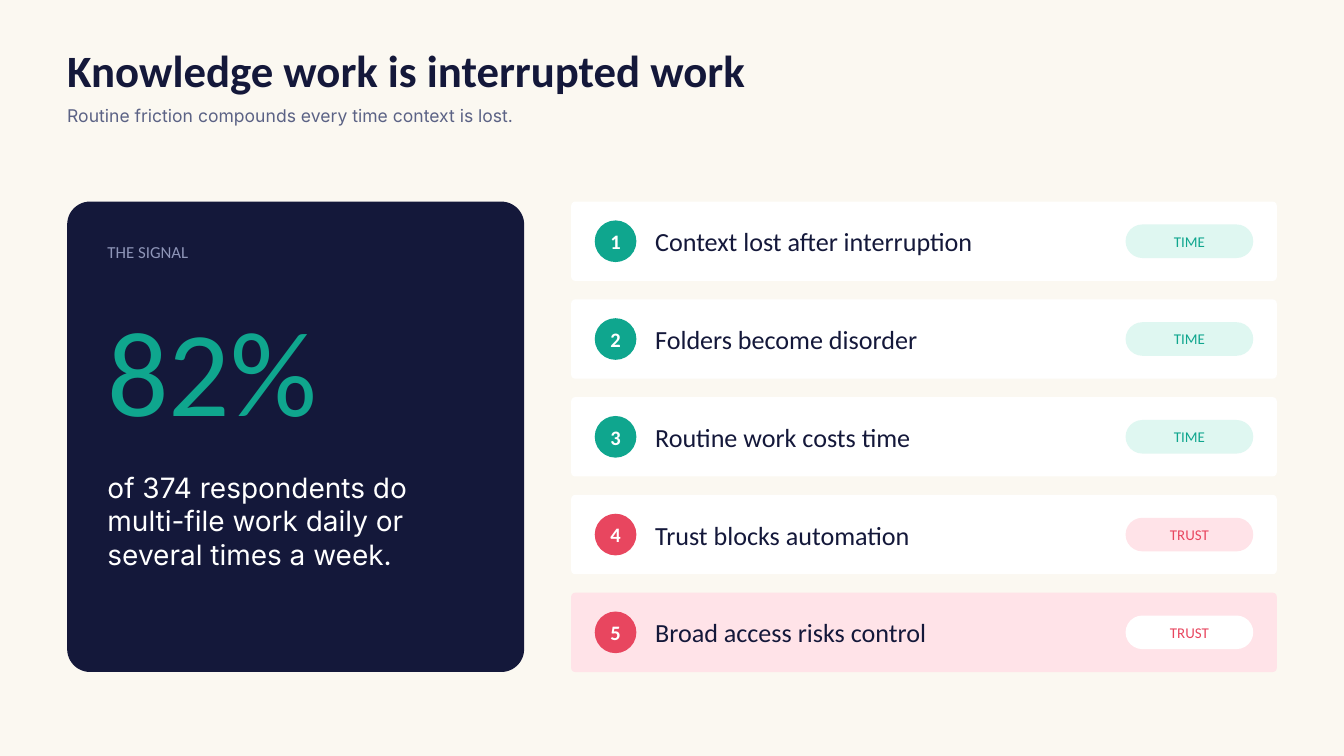
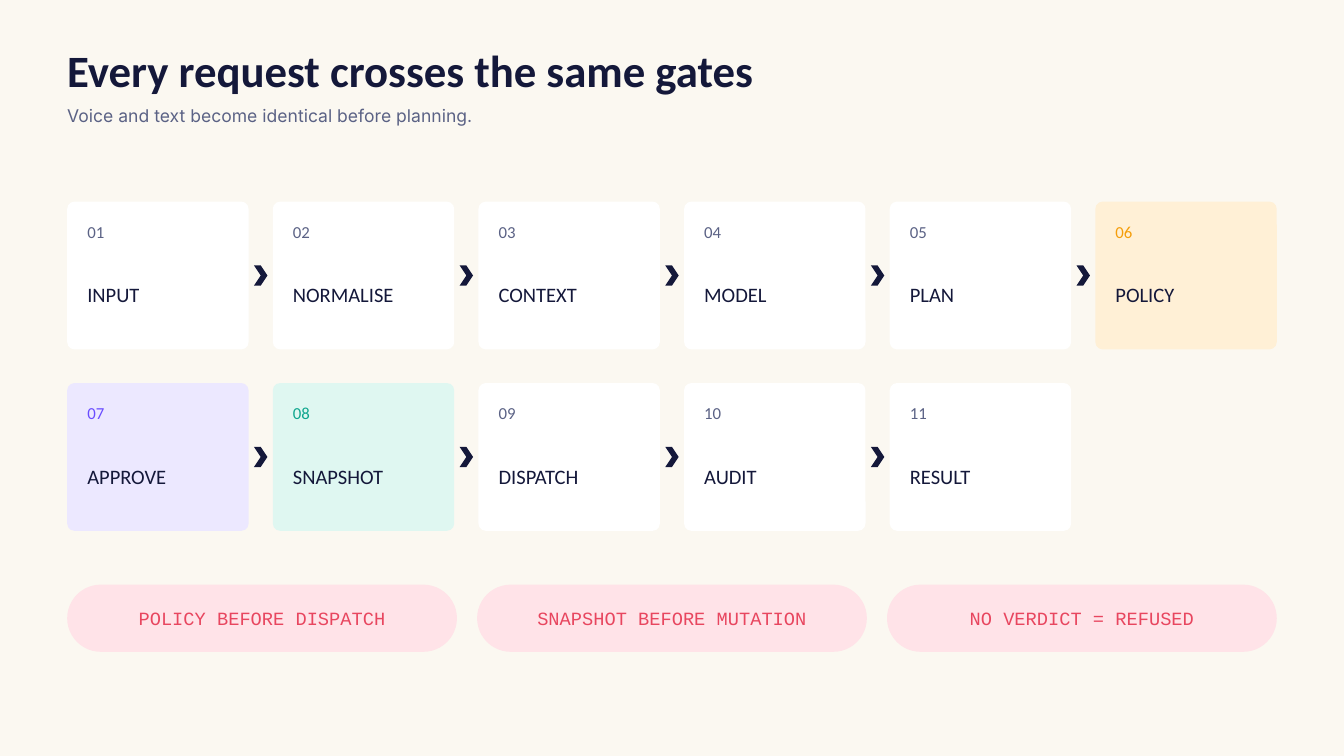
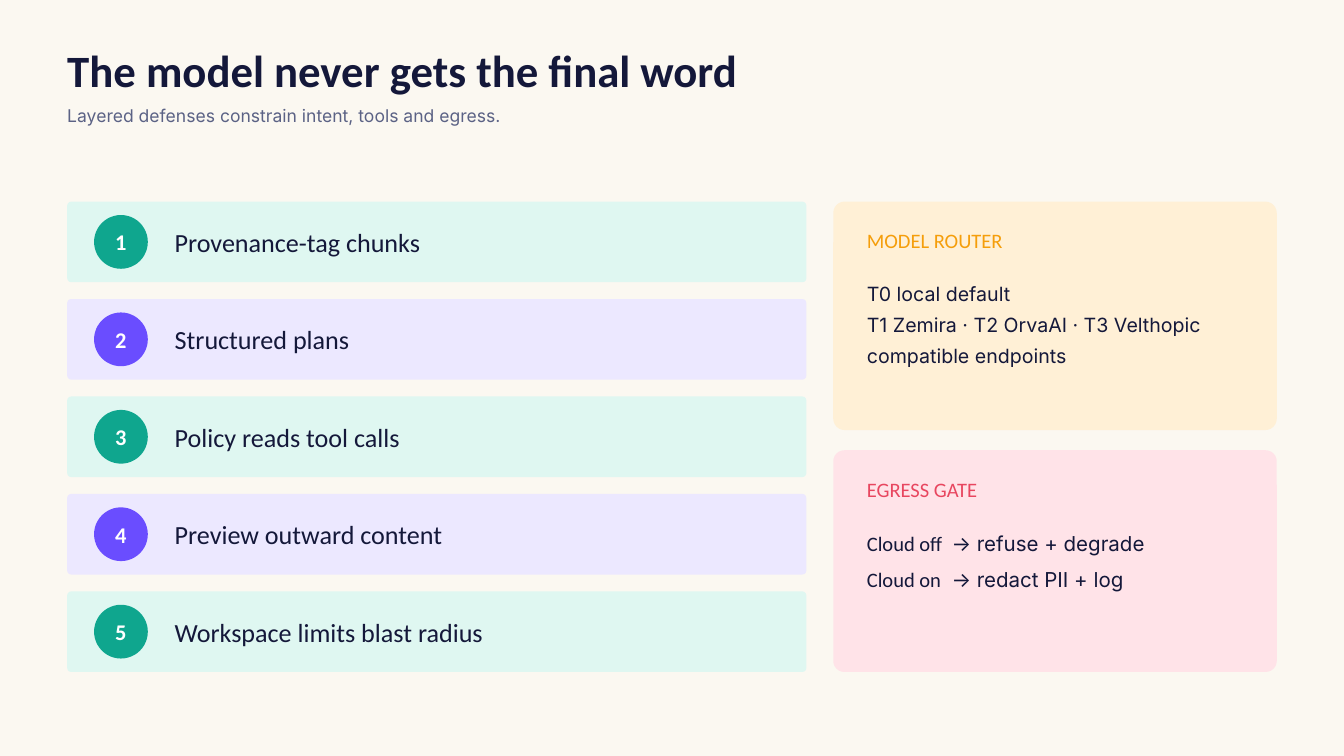
from lxml import etree
from pptx import Presentation
from pptx.dml.color import RGBColor
from pptx.enum.shapes import MSO_SHAPE
from pptx.enum.text import MSO_ANCHOR, MSO_AUTO_SIZE, PP_ALIGN
from pptx.oxml.ns import qn
from pptx.util import Cm, Pt

ROUNDED, OVAL, CHEVRON = MSO_SHAPE.ROUNDED_RECTANGLE, MSO_SHAPE.OVAL, MSO_SHAPE.CHEVRON
LEFT, CENTER = PP_ALIGN.LEFT, PP_ALIGN.CENTER
TOP, MIDDLE = MSO_ANCHOR.TOP, MSO_ANCHOR.MIDDLE
GROW = MSO_AUTO_SIZE.SHAPE_TO_FIT_TEXT

HEADING, BODY, CODE = "Calibri", "Inter", "Courier New"
CREAM, WHITE, NAVY = "FBF8F1", "FFFFFF", "14183A"
SLATE, MIST = "5B6285", "8E95B8"
GREEN, MINT = "0FA68E", "DFF7F1"
RED, ROSE = "E8465F", "FFE3E8"
VIOLET, LILAC = "6A4DFF", "ECE8FF"
AMBER, SAND = "F59E0B", "FFF0D6"

MARGIN, CONTENT_TOP, CONTENT_BOTTOM = 1, 3, 10


def grid(units):
    """Length of a number of layout grid units, each 2.54 cm."""
    return Cm(units * 2.54)


def color(value):
    return RGBColor.from_string(value)


def style(span, size, ink, font, bold=False):
    span.font.size = Pt(size)
    span.font.name = font
    span.font.bold = bold
    span.font.color.rgb = color(ink)


class Deck:
    """Holds the shared style and the current page; places are in grid units."""

    def __init__(self):
        self.file = Presentation()
        self.file.slide_width, self.file.slide_height = grid(20), grid(11.25)
        background = self.file.slide_master.background.fill
        background.solid()
        background.fore_color.rgb = color(CREAM)
        self.page = None

    def new_page(self, title, subtitle):
        self.page = self.file.slides.add_slide(self.file.slide_layouts[6])
        self.text(title, MARGIN, 0.73, 15.62, 0.82, 48, NAVY, bold=True, line=50.4)
        self.text(subtitle, MARGIN, 1.53, 15.62, 0.34, 18.8, SLATE, BODY, line=25.3)

    def fill_text(self, box, words, size, ink, font=HEADING, bold=False,
                  align=LEFT, anchor=TOP, line=None, after=None):
        frame = box.text_frame
        frame.margin_left = frame.margin_right = 0
        frame.margin_top = frame.margin_bottom = 0
        frame.word_wrap = True
        frame.vertical_anchor = anchor
        frame.text = words
        for para in frame.paragraphs:
            para.alignment = align
            if line:
                para.line_spacing = Pt(line)
            if after:
                para.space_after = Pt(after)
            for span in para.runs:
                style(span, size, ink, font, bold)

    def text(self, words, left, top, width, height, *args, **options):
        box = self.page.shapes.add_textbox(*map(grid, (left, top, width, height)))
        self.fill_text(box, words, *args, **options)
        box.text_frame.auto_size = GROW
        return box

    def shape(self, kind, left, top, width, height, fill):
        shape = self.page.shapes.add_shape(kind, *map(grid, (left, top, width, height)))
        shape.shadow.inherit = False
        shape.fill.solid()
        shape.fill.fore_color.rgb = color(fill)
        shape.line.fill.background()
        return shape

    def card(self, left, top, width, height, fill, rounding=0.05):
        card = self.shape(ROUNDED, left, top, width, height, fill)
        card.adjustments[0] = rounding

    def badge(self, number, left, middle, diameter, size, fill):
        circle = self.shape(OVAL, left, middle - diameter / 2, diameter, diameter, fill)
        self.fill_text(circle, str(number), size, WHITE, bold=True,
                       align=CENTER, anchor=MIDDLE)

    def pill(self, words, left, top, width, height, size, ink, fill, font=HEADING):
        self.card(left, top, width, height, fill, 0.5)
        self.text(words, left, top, width, height, size, ink, font,
                  align=CENTER, anchor=MIDDLE)

    def panel(self, heading, top, height, ink, fill, lines, size, font, after):
        left = 12.4
        self.card(left, top, 6.6, height, fill)
        self.text(heading, left + 0.5, top + 0.4, 5.6, 0.5, 22, ink)
        return self.text(lines, left + 0.5, top + 1.2, 5.6, 2, size, NAVY, font, after=after)


def row_tops(count, height):
    """Tops of equally spaced rows that fill the content area."""
    step = (CONTENT_BOTTOM - CONTENT_TOP - height) / (count - 1)
    return [CONTENT_TOP + index * step for index in range(count)]


def interruptions(deck):
    deck.new_page("Knowledge work is interrupted work",
                  "Routine friction compounds every time context is lost.")
    deck.card(MARGIN, CONTENT_TOP, 6.8, 7, NAVY)
    deck.text("THE SIGNAL", 1.6, 3.6, 5.6, 0.4, 18, MIST)
    deck.text("82%", 1.6, 4.4, 5.6, 2.2, 130, GREEN)
    deck.text("of 374 respondents do multi-file work daily or several times a week.",
              1.6, 7, 5.6, 2.6, 30, WHITE, BODY)

    problems = [
        ("Context lost after interruption", "TIME", GREEN, WHITE, MINT),
        ("Folders become disorder", "TIME", GREEN, WHITE, MINT),
        ("Routine work costs time", "TIME", GREEN, WHITE, MINT),
        ("Trust blocks automation", "TRUST", RED, WHITE, ROSE),
        ("Broad access risks control", "TRUST", RED, ROSE, WHITE),
    ]
    height = 1.18
    tops = row_tops(len(problems), height)
    for number, (top, problem) in enumerate(zip(tops, problems), 1):
        words, tag, ink, fill, tag_fill = problem
        middle = top + height / 2
        deck.card(8.5, top, 10.5, height, fill)
        deck.badge(number, 8.85, middle, 0.62, 22, ink)
        deck.text(words, 9.75, top, 6.8, height, 28, NAVY, anchor=MIDDLE)
        deck.pill(tag, 16.75, middle - 0.25, 1.9, 0.5, 16, ink, tag_fill)


def gates(deck):
    deck.new_page("Every request crosses the same gates",
                  "Voice and text become identical before planning.")
    steps = ["INPUT", "NORMALISE", "CONTEXT", "MODEL", "PLAN", "POLICY",
             "APPROVE", "SNAPSHOT", "DISPATCH", "AUDIT", "RESULT"]
    highlights = {"POLICY": (AMBER, SAND), "APPROVE": (VIOLET, LILAC),
                  "SNAPSHOT": (GREEN, MINT)}
    columns, width, height = 6, 2.7, 2.2
    for index, step in enumerate(steps):
        row, column = divmod(index, columns)
        left, top = MARGIN + column * 3.06, CONTENT_TOP + row * 2.7
        ink, fill = highlights.get(step, (SLATE, WHITE))
        deck.card(left, top, width, height, fill)
        deck.text(f"{index + 1:02}", left + 0.3, top + 0.3, 1.5, 0.5, 18, ink)
        deck.text(step, left + 0.3, top + 1.2, 2.2, 0.6, 22, NAVY)
        if column < columns - 1 and index < len(steps) - 1:
            deck.shape(CHEVRON, left + width + 0.08, top + 0.95, 0.2, 0.3, NAVY)

    rules = ["POLICY BEFORE DISPATCH", "SNAPSHOT BEFORE MUTATION", "NO VERDICT = REFUSED"]
    for index, rule in enumerate(rules):
        deck.pill(rule, MARGIN + index * 6.1, 8.7, 5.8, 1, 20, RED, ROSE, CODE)


def defenses(deck):
    deck.new_page("The model never gets the final word",
                  "Layered defenses constrain intent, tools and egress.")
    layers = ["Provenance-tag chunks", "Structured plans", "Policy reads tool calls",
              "Preview outward content", "Workspace limits blast radius"]
    height = 1.2
    for number, (top, layer) in enumerate(zip(row_tops(len(layers), height), layers), 1):
        ink, fill = (GREEN, MINT) if number % 2 else (VIOLET, LILAC)
        deck.card(MARGIN, top, 11, height, fill)
        deck.badge(number, 1.4, top + height / 2, 0.8, 24, ink)
        deck.text(layer, 2.6, top, 9.2, height, 28, NAVY, anchor=MIDDLE)

    deck.panel("MODEL ROUTER", 3, 3.4, AMBER, SAND,
               "T0 local default\nT1 Zemira · T2 OrvaAI · T3 Velthopic\ncompatible endpoints",
               21, BODY, 8)
    egress = deck.panel("EGRESS GATE", 6.7, 3.3, RED, ROSE,
                        "Cloud off\nCloud on", 22, HEADING, 12)
    outcomes = ["→ refuse + degrade", "→ redact PII + log"]
    for para, outcome in zip(egress.text_frame.paragraphs, outcomes):
        stops = etree.SubElement(para._p.get_or_add_pPr(), qn("a:tabLst"))
        etree.SubElement(stops, qn("a:tab"), pos=str(grid(1.26)), algn="l")
        span = para.add_run()
        span.text = "\t" + outcome
        style(span, 22, NAVY, BODY)


def main():
    deck = Deck()
    interruptions(deck)
    gates(deck)
    defenses(deck)
    deck.file.save("out.pptx")


if __name__ == "__main__":
    main()
